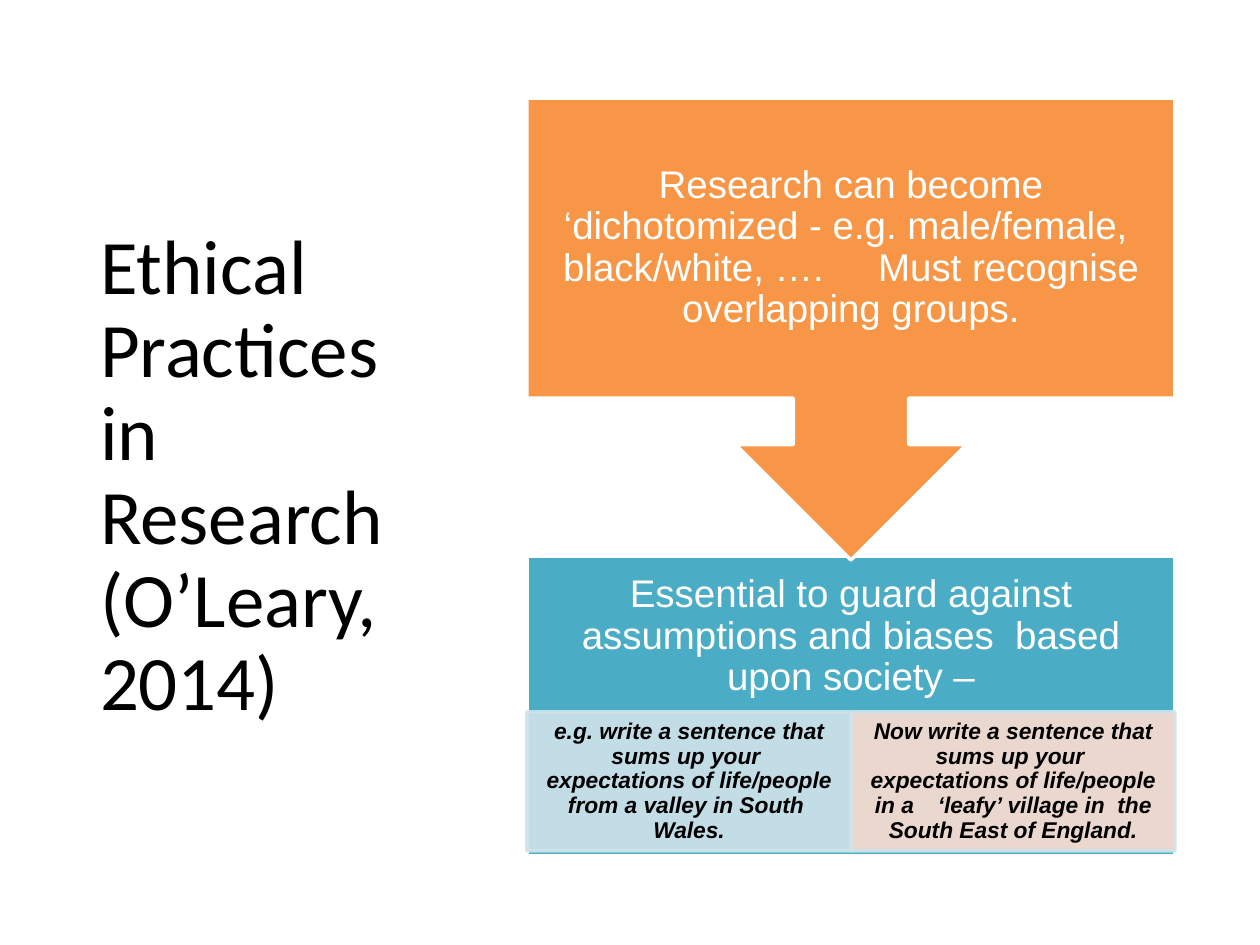
from dataclasses import dataclass

from lxml import etree
from pptx import Presentation
from pptx.dml.color import RGBColor
from pptx.enum.shapes import MSO_SHAPE
from pptx.enum.text import MSO_ANCHOR, MSO_AUTO_SIZE, PP_ALIGN
from pptx.oxml.ns import qn
from pptx.util import Emu, Pt

PIXEL = 914400 // 126
RECTANGLE = MSO_SHAPE.RECTANGLE
CALLOUT = MSO_SHAPE.UP_ARROW_CALLOUT
MIDDLE = MSO_ANCHOR.MIDDLE
NO_FIT = MSO_AUTO_SIZE.NONE
LEFT, CENTER = PP_ALIGN.LEFT, PP_ALIGN.CENTER


@dataclass(frozen=True)
class Theme:
    """Colours, fonts and type sizes of the slide."""
    black: str = "000000"
    white: str = "FFFFFF"
    orange: str = "F79646"
    teal: str = "4BACC6"
    pale_blue: str = "D0E3EA"
    pale_orange: str = "FCDDCF"
    heading_font: str = "Calibri"
    body_font: str = "Arial"
    title_size: int = 44
    body_size: int = 22
    note_size: int = 13
    line_width: int = 2
    line_spacing: float = 0.9


def px(value):
    """Turn picture pixels into EMU."""
    return Emu(value * PIXEL)


class SlideBuilder:
    """Draws styled elements on one slide."""

    def __init__(self, slide, theme):
        """Keep the slide and its theme."""
        self.slide = slide
        self.theme = theme

    def set_text(self, shape, text, margins=(13, 6, 13, 6), align=CENTER, **font):
        """Fill a shape with one formatted paragraph."""
        frame = shape.text_frame
        sides = ("margin_left", "margin_top", "margin_right", "margin_bottom")
        layout = dict(zip(sides, map(px, margins)))
        layout.update(word_wrap=True, auto_size=NO_FIT, vertical_anchor=MIDDLE)
        for name, value in layout.items():
            setattr(frame, name, value)
        para = frame.paragraphs[0]
        para.alignment = align
        para.line_spacing = self.theme.line_spacing
        span = para.add_run()
        span.text = text
        span.font.color.rgb = RGBColor.from_string(font.pop("color"))
        font["size"] = Pt(font["size"])
        for name, value in font.items():
            setattr(span.font, name, value)

    def title(self, box, text):
        """Place and format the title placeholder."""
        shape = self.slide.shapes.title
        for name, value in zip(("left", "top", "width", "height"), box):
            setattr(shape, name, px(value))
        self.set_text(shape, text, align=LEFT, name=self.theme.heading_font,
                      size=self.theme.title_size, color=self.theme.black)

    def block(self, kind, box, fill, line, opacity=100):
        """Draw a filled and outlined preset shape."""
        shape = self.slide.shapes.add_shape(kind, *map(px, box))
        shape.shadow.inherit = False
        shape.fill.solid()
        shape.line.width = Pt(self.theme.line_width)
        for paint, color in ((shape.fill, fill), (shape.line.fill, line)):
            paint.solid()
            paint.fore_color.rgb = RGBColor.from_string(color)
        if opacity < 100:
            for color in shape.element.spPr.iter(qn("a:srgbClr")):
                etree.SubElement(color, qn("a:alpha"), val=str(opacity * 1000))
        return shape

    def text_box(self, box):
        """Add an empty text box."""
        return self.slide.shapes.add_textbox(*map(px, box))


def build():
    """Build and save the slide."""
    deck = Presentation()
    deck.slide_width, deck.slide_height = px(1260), px(945)
    theme = Theme()
    page = SlideBuilder(deck.slides.add_slide(deck.slide_layouts[5]), theme)
    page.title((87, 98, 349, 759), "Ethical Practices in Research (O’Leary, 2014)")

    left, width, panel_height = 527, 648, 300
    inset = 21
    statement = {"name": theme.body_font, "size": theme.body_size, "color": theme.white}

    panel_top, heading_height = 556, 162
    panel = page.block(RECTANGLE, (left, panel_top, width, panel_height),
                       theme.teal, theme.white)
    below_heading = panel_height - heading_height
    page.set_text(panel, "Essential to guard against assumptions and biases  based upon society –",
                  (inset, inset, inset, below_heading + inset), **statement)

    prompts = (
        (theme.pale_blue, "e.g. write a sentence that sums up your  expectations of "
                          "life/people from a valley in South  Wales."),
        (theme.pale_orange, "Now write a sentence that sums up your  expectations of "
                            "life/people in a\t‘leafy’ village in  the South East of England."),
    )
    prompt_width = width // len(prompts)
    for index, (fill, text) in enumerate(prompts):
        box = (left + index * prompt_width, 712, prompt_width, 139)
        prompt = page.block(RECTANGLE, box, fill, theme.pale_blue, opacity=90)
        page.set_text(prompt, text, (13, 3, 13, 3), name=theme.body_font,
                      size=theme.note_size, color=theme.black, bold=True, italic=True)

    callout_top = 98
    callout = page.block(CALLOUT, (left, callout_top, width, 462),
                         theme.orange, theme.white)
    callout.rotation = 180
    caption = page.text_box((left, callout_top, width, panel_height))
    page.set_text(caption, "Research can become ‘dichotomized - e.g. male/female,  "
                           "black/white, ….\tMust recognise overlapping groups.",
                  (inset,) * 4, **statement)
    deck.save("out.pptx")


build()
